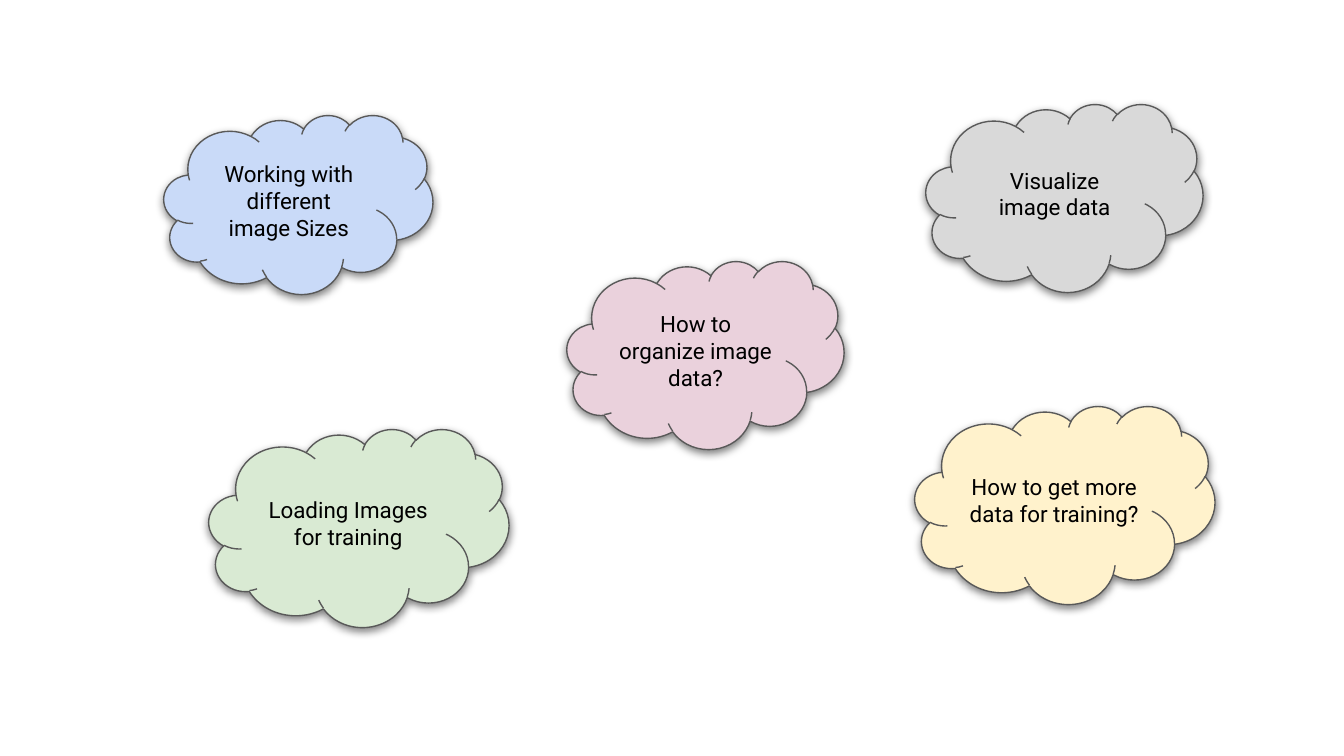
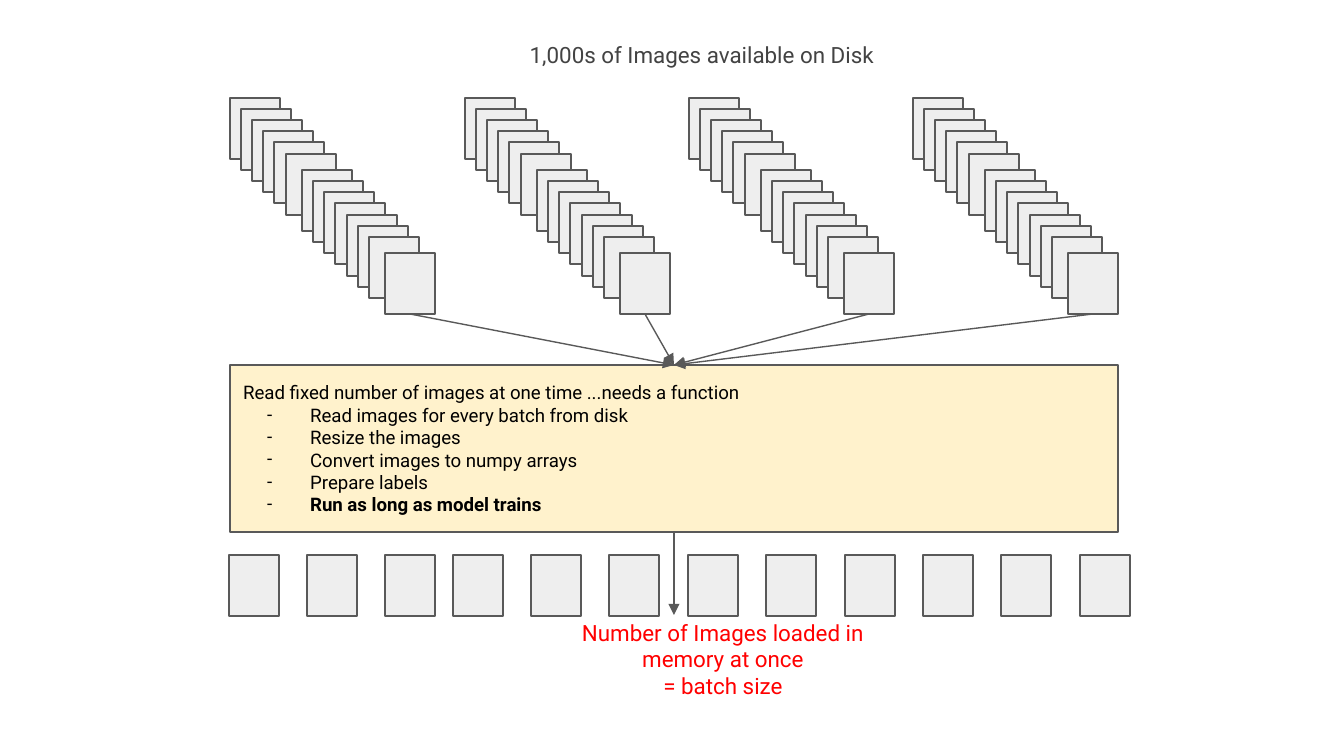
import pptx
import pptx.dml.color
import pptx.enum.shapes
import pptx.enum.text
import pptx.oxml
import pptx.oxml.ns
import pptx.util
from lxml import etree

SCALE = 914400 / 134.4  # EMU in one px
FONT = "Roboto"
COLORS = {
    "line": "595959", "page": "EEEEEE", "black": "000000", "title": "434343",
    "red": "FF0000", "blue": "C9DAF8", "pink": "EAD1DC", "green": "D9EAD3",
    "cream": "FFF2CC", "gray": "D9D9D9",
}
SHAPES = pptx.enum.shapes.MSO_SHAPE
ALIGN = pptx.enum.text.PP_ALIGN
TOP, BOTTOM = 0, 2  # connection sites of a rectangle


def px(length):
    return pptx.util.Emu(round(length * SCALE))


def rgb(name):
    return pptx.dml.color.RGBColor.from_string(COLORS[name])


def add_xml(parent, tag, **attributes):
    return etree.SubElement(parent, pptx.oxml.ns.qn(tag), attributes)


class Painter:
    """Holds the deck, its style and the current slide."""

    def __init__(self):
        self.deck = pptx.Presentation()
        self.deck.slide_width, self.deck.slide_height = px(1344), px(756)
        self.slide = None

    def new_slide(self):
        self.slide = self.deck.slides.add_slide(self.deck.slide_layouts[6])

    def outline(self, line):
        line.color.rgb = rgb("line")
        line.width = pptx.util.Pt(0.75)

    def shape(self, kind, left, top, width, height, fill):
        shape = self.slide.shapes.add_shape(kind, px(left), px(top), px(width), px(height))
        shape.shadow.inherit = False
        shape.fill.solid()
        shape.fill.fore_color.rgb = rgb(fill)
        self.outline(shape.line)
        return shape

    def bullet(self, para):
        properties = para._p.get_or_add_pPr()
        properties.set("marL", str(px(67)))
        properties.set("indent", str(px(-43)))
        tint = add_xml(properties, "a:buClr")
        add_xml(tint, "a:srgbClr", val=COLORS["black"])
        add_xml(properties, "a:buFont", typeface=FONT)
        add_xml(properties, "a:buChar", char="-")

    def set_text(self, shape, lines, size=12, color="black", align=ALIGN.CENTER,
                 bulleted=False):
        """Fills the shape with lines; if bulleted, all but the first get a dash."""
        frame = shape.text_frame
        frame.word_wrap = True
        frame.vertical_anchor = pptx.enum.text.MSO_ANCHOR.MIDDLE
        frame.margin_left = frame.margin_right = pptx.util.Inches(0.1)
        frame.margin_top = frame.margin_bottom = pptx.util.Inches(0.1)
        frame.text = "\n".join(lines)
        for index, para in enumerate(frame.paragraphs):
            if bulleted and index > 0:
                self.bullet(para)
            para.alignment = align
            para.font.name = FONT
            para.font.size = pptx.util.Pt(size)
            para.font.color.rgb = rgb(color)

    def label(self, left, top, width, height, lines, color):
        box = self.slide.shapes.add_textbox(px(left), px(top), px(width), px(height))
        self.set_text(box, lines, color=color)

    def cloud(self, left, top, width, height, fill, text):
        cloud = self.shape(SHAPES.CLOUD, left, top, width, height, fill)
        effects = cloud._element.spPr.find(pptx.oxml.ns.qn("a:effectLst"))
        shadow = add_xml(effects, "a:outerShdw", blurRad="57150", dist="19050",
                         dir="5400000", algn="bl", rotWithShape="0")
        tint = add_xml(shadow, "a:srgbClr", val=COLORS["black"])
        add_xml(tint, "a:alpha", val="50000")
        self.set_text(cloud, [text])

    def page(self, left, top):
        return self.shape(SHAPES.RECTANGLE, left, top, 50, 61, "page")

    def stack(self, left, top):
        """Draws fourteen overlapping pages and returns the front one."""
        for index in range(14):
            shift = index * 56 // 5 + 5 * (index >= 6) + 5 * (index >= 13)
            page = self.page(left + shift, top + shift)
        return page

    def bullet_box(self, left, top, width, height, lines):
        box = self.shape(SHAPES.RECTANGLE, left, top, width, height, "cream")
        self.set_text(box, lines, size=10, align=ALIGN.LEFT, bulleted=True)
        return box

    def arrow(self, source, target=None, end=(0, 0)):
        """Runs from the foot of source to the top of target, or to a point."""
        arrow = self.slide.shapes.add_connector(
            pptx.enum.shapes.MSO_CONNECTOR.STRAIGHT, 0, 0, px(end[0]), px(end[1]))
        arrow.begin_connect(source, BOTTOM)
        if target is not None:
            arrow.end_connect(target, TOP)
        self.outline(arrow.line)
        add_xml(arrow.line._get_or_add_ln(), "a:tailEnd", type="triangle")
        add_xml(arrow._element.spPr, "a:effectLst")


def draw_questions(painter):
    painter.new_slide()
    for cloud in [
        (164, 115, 269, 179, "blue", "Working with different image Sizes"),
        (567, 261, 277, 188, "pink", "How to organize image data?"),
        (209, 429, 300, 198, "green", "Loading Images for training"),
        (915, 406, 300, 198, "cream", "How to get more data for training?"),
        (926, 104, 277, 188, "gray", "Visualize image data"),
    ]:
        painter.cloud(*cloud)


def draw_batches(painter):
    painter.new_slide()

    # Images on disk
    fronts = [painter.stack(left, 98) for left in (230, 465, 689, 913)]

    # Batch function
    reader = painter.bullet_box(230, 365, 888, 167, [
        "Read fixed number of images at one time ...needs a function",
        "Read images for every batch from disk",
        "Resize the images",
        "Convert images to numpy arrays",
        "Prepare labels",
        "Run as long as model trains",
    ])
    reader.text_frame.paragraphs[-1].font.bold = True
    for front in fronts:
        painter.arrow(front, reader)

    # Images in memory
    for first, count in ((229, 3), (453, 9)):
        for index in range(count):
            painter.page(first + index * 392 // 5, 555)

    # Captions
    painter.label(532, 614, 382, 90,
                  ["Number of Images loaded in memory at once", "= batch size"], "red")
    painter.arrow(reader, end=(674, 615))
    painter.label(511, 22, 382, 66, ["1,000s of Images available on Disk"], "title")


def main():
    painter = Painter()
    draw_questions(painter)
    draw_batches(painter)
    painter.deck.save("out.pptx")


if __name__ == "__main__":
    main()
